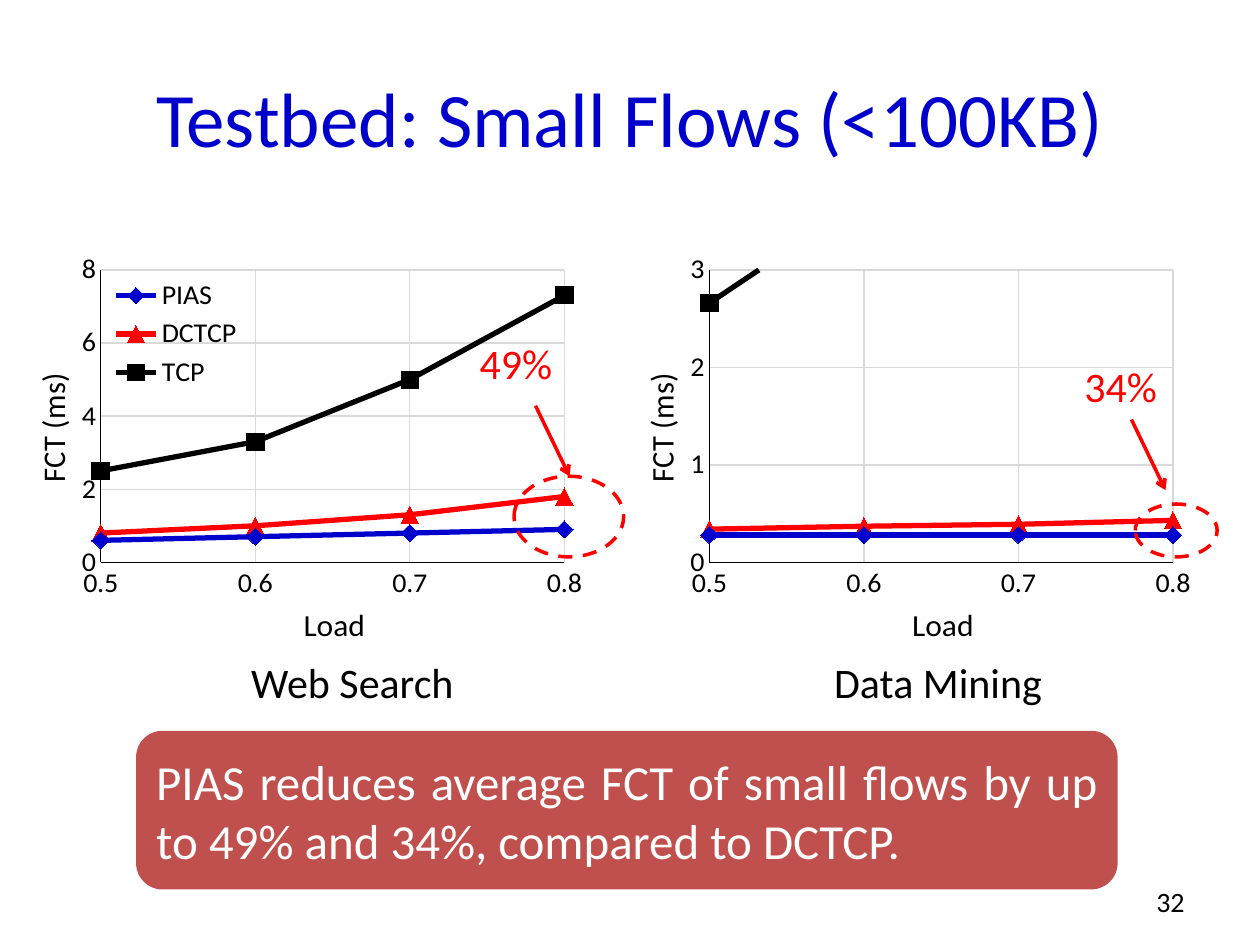
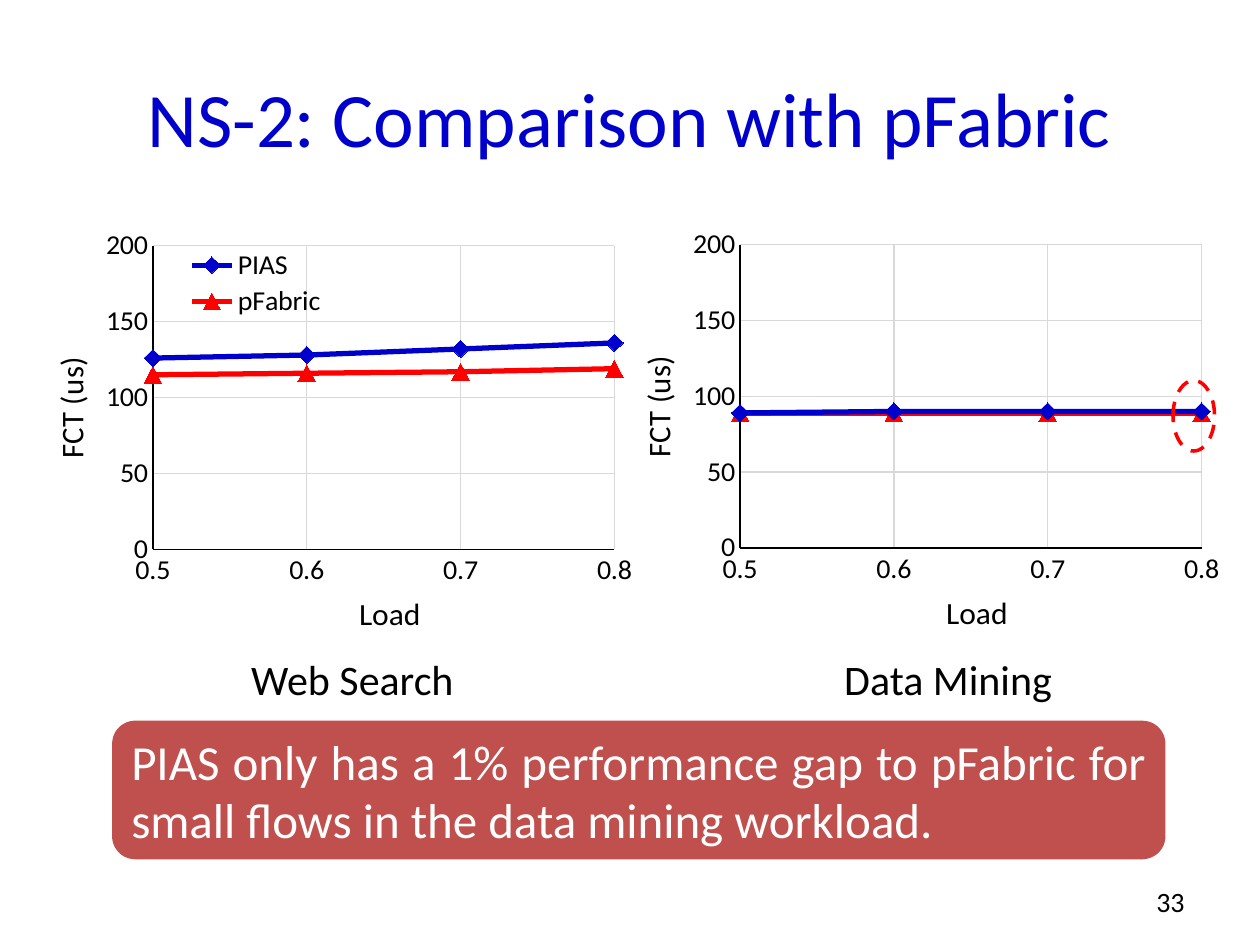
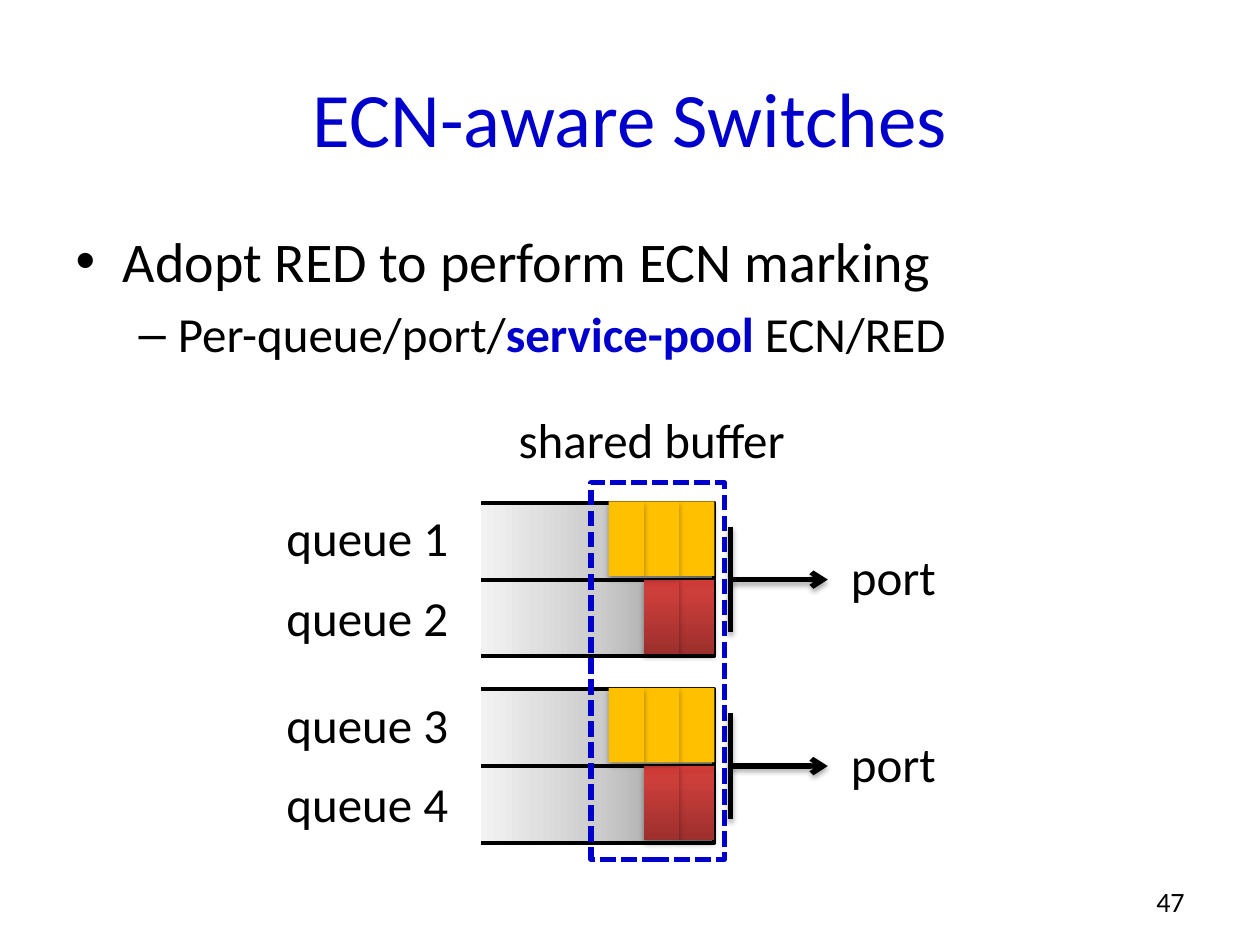
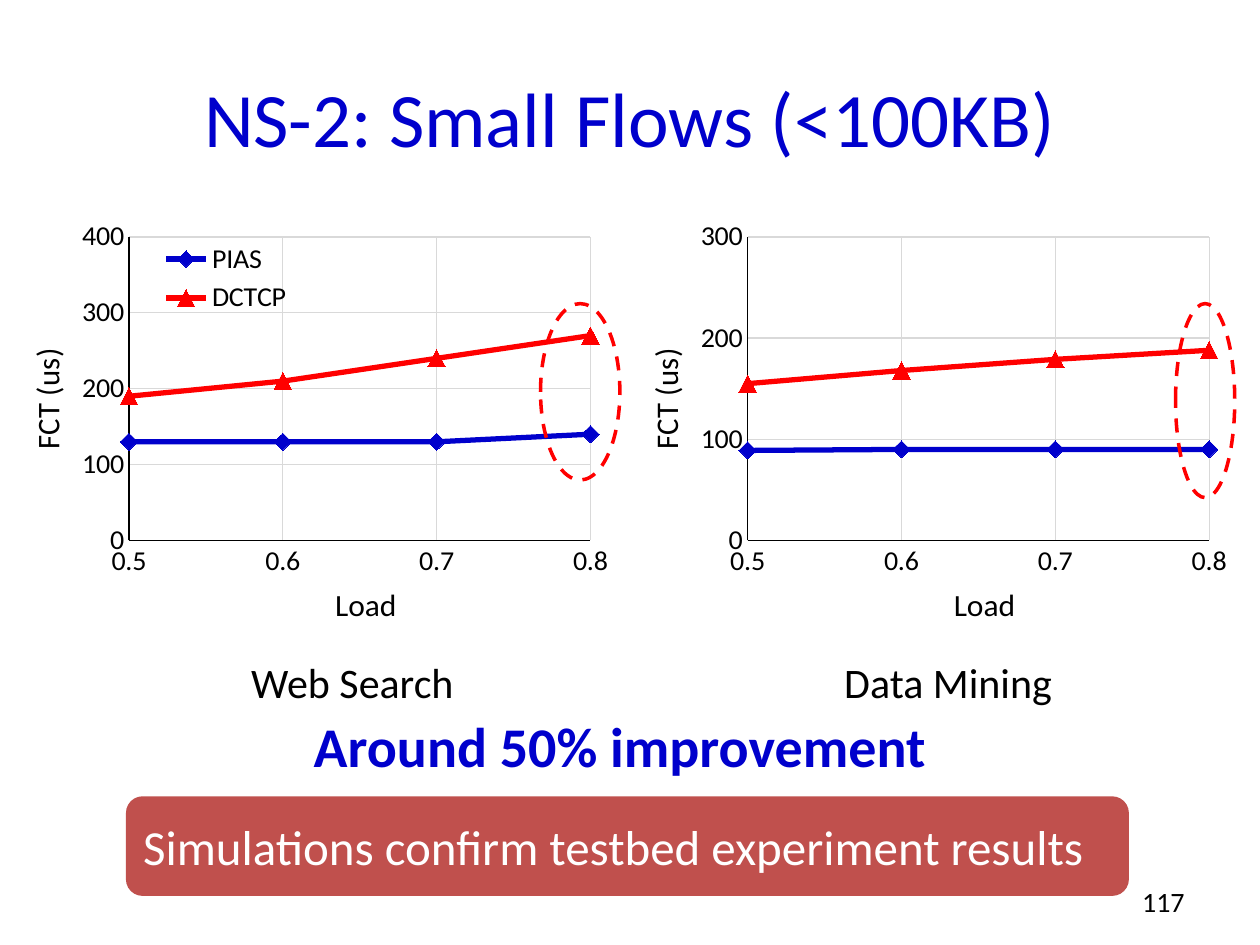
from lxml.etree import SubElement
from pptx import Presentation
from pptx.chart.data import XyChartData
from pptx.dml.color import RGBColor
from pptx.enum.chart import XL_CHART_TYPE, XL_LEGEND_POSITION, XL_MARKER_STYLE, XL_TICK_MARK
from pptx.enum.dml import MSO_LINE
from pptx.enum.shapes import MSO_CONNECTOR, MSO_SHAPE
from pptx.enum.text import MSO_ANCHOR, PP_ALIGN
from pptx.oxml import parse_xml
from pptx.oxml.ns import nsdecls, qn
from pptx.util import Pt

PX = 9144
FONT = "Calibri"
HEX = {
    "blue": "0000CC", "red": "FF0000", "black": "000000", "white": "FFFFFF",
    "banner": "C0504D", "grid": "D9D9D9", "yellow": "FFC000",
}
COLOR = {name: RGBColor.from_string(value) for name, value in HEX.items()}
QUEUE_STOPS = [(0, "909090"), (50, "CCCCCC"), (100, "F2F2F2")]
PACKET_STOPS = [(0, "9C2F2D"), (80, "CB3E3A"), (100, "CE3B37")]
NO_EFFECT = f"<a:effectLst {nsdecls('a')}/>"
SHADOW = (
    f'<a:effectLst {nsdecls("a")}>'
    '<a:outerShdw blurRad="40000" dist="23000" dir="5400000" rotWithShape="0">'
    '<a:srgbClr val="000000"><a:alpha val="35000"/></a:srgbClr>'
    "</a:outerShdw></a:effectLst>"
)
LOADS = [0.5, 0.6, 0.7, 0.8]
STYLES = [
    ("blue", XL_MARKER_STYLE.DIAMOND),
    ("red", XL_MARKER_STYLE.TRIANGLE),
    ("black", XL_MARKER_STYLE.SQUARE),
]
TITLE_AT = (50, 30, 900, 125)
NUMBER_AT = (717, 695, 233, 40)
WIDE_PLOT = (0.15, 0.07, 0.8, 0.73)
NARROW_PLOT = (0.2, 0.07, 0.76, 0.73)

PAGES = [
    {
        "title": "Testbed: Small Flows (<100KB)", "number": "32",
        "unit": "FCT (ms)", "names": ["PIAS", "DCTCP", "TCP"],
        "plot": WIDE_PLOT, "legend": (0.16, 0.08, 0.24, 0.3),
        "load_at": (0.49, 0.89), "unit_at": (0.02, 0.32),
        "charts": [
            ((11, 192, 460, 327), 8, 2,
             [[0.6, 0.7, 0.8, 0.9], [0.8, 1, 1.3, 1.8], [2.5, 3.3, 5, 7.3]]),
            ((494, 192, 460, 327), 3, 1,
             [[0.28, 0.28, 0.28, 0.28], [0.34, 0.37, 0.39, 0.43], [2.66, 3.72, 5.09, 6.3]]),
        ],
        "captions": [(185, 516, 197, "Web Search "), (642, 516, 205, "Data Mining")],
        "rings": [(901, 400, 65, 42), (408, 378, 87, 64)],
        "arrows": [(898, 333, 925, 389), (425, 322, 452, 378)],
        "gains": [((833, 275, 113, 62), "34%"), ((353, 257, 113, 62), "49%")],
        "banner_at": (108, 580, 779, 126),
        "banner": "PIAS reduces average FCT of small flows by up to 49% and 34%, compared to DCTCP. ",
    },
    {
        "title": "NS-2: Comparison with pFabric", "number": "33",
        "unit": "FCT (us)", "names": ["PIAS", "pFabric"],
        "plot": NARROW_PLOT, "legend": (0.22, 0.07, 0.3, 0.18),
        "load_at": (0.53, 0.89), "unit_at": (0.02, 0.33),
        "charts": [
            ((25, 172, 482, 338), 200, 50, [[126, 128, 132, 136], [115, 116, 117, 119]]),
            ((491, 171, 482, 338), 200, 50, [[89, 90, 90, 90], [89, 89, 89, 89]]),
        ],
        "captions": [(185, 514, 197, "Web Search "), (650, 514, 205, "Data Mining")],
        "rings": [(931, 302, 33, 56)],
        "arrows": [],
        "gains": [],
        "banner_at": (89, 572, 836, 110),
        "banner": "PIAS only has a 1% performance gap to pFabric for small flows in the data mining workload.",
    },
    {"title": "ECN-aware Switches", "number": "47"},
    {
        "title": "NS-2: Small Flows (<100KB)", "number": "117",
        "unit": "FCT (us)", "names": ["PIAS", "DCTCP"],
        "plot": NARROW_PLOT, "legend": (0.22, 0.07, 0.28, 0.2),
        "load_at": (0.53, 0.89), "unit_at": (0.02, 0.33),
        "charts": [
            ((6, 165, 482, 338), 400, 100, [[130, 130, 130, 140], [190, 210, 240, 270]]),
            ((497, 165, 482, 338), 300, 100, [[89, 90, 90, 90], [155, 168, 179, 188]]),
        ],
        "captions": [(185, 516, 197, "Web Search "), (650, 516, 205, "Data Mining")],
        "rings": [(429, 241, 63, 140), (933, 241, 47, 154)],
        "arrows": [],
        "gains": [],
        "banner_at": (100, 632, 796, 79),
        "banner": "Simulations confirm testbed experiment results",
    },
]


def write(box, spans, size, align=PP_ALIGN.CENTER, anchor=None):
    frame = box.text_frame
    frame.word_wrap = True
    if anchor is not None:
        frame.vertical_anchor = anchor
    para = frame.paragraphs[-1]
    para.alignment = align
    for text, color, bold in spans:
        span = para.add_run()
        span.text = text
        span.font.name = FONT
        span.font.size = Pt(size)
        span.font.bold = bold
        span.font.color.rgb = COLOR[color]


def connect(page, points, color, width, arrow, effect):
    connector = page.shapes.add_connector(MSO_CONNECTOR.STRAIGHT, *(p * PX for p in points))
    connector.line.color.rgb = COLOR[color]
    connector.line.width = Pt(width)
    if arrow:
        SubElement(connector.element.xpath("p:spPr/a:ln")[0], qn("a:tailEnd"), type="arrow")
    connector.element.xpath("p:spPr")[0].append(parse_xml(effect))


deck = Presentation()
deck.slide_width = 1000 * PX
deck.slide_height = 750 * PX

for content in PAGES:
    has_charts = "charts" in content
    page = deck.slides.add_slide(deck.slide_layouts[5 if has_charts else 1])
    title = page.shapes.title
    title.left, title.top, title.width, title.height = (v * PX for v in TITLE_AT)
    write(title, [(content["title"], "blue", False)], 44, anchor=MSO_ANCHOR.MIDDLE)
    number = page.shapes.add_textbox(*(v * PX for v in NUMBER_AT))
    write(number, [(content["number"], "black", False)], 16, PP_ALIGN.RIGHT, MSO_ANCHOR.MIDDLE)
    if not has_charts:
        continue

    for index, (at, top_value, step, rows) in enumerate(content["charts"]):
        data = XyChartData()
        for name, values in zip(content["names"], rows):
            points = data.add_series(name)
            for load, value in zip(LOADS, values):
                points.add_data_point(load, value)
        chart = page.shapes.add_chart(
            XL_CHART_TYPE.XY_SCATTER_LINES, *(v * PX for v in at), data).chart
        chart.has_title = False
        chart.font.name = FONT
        chart.font.size = Pt(16)
        chart.font.color.rgb = COLOR["black"]
        chart.plots[0].vary_by_categories = False
        for series, (color, marker) in zip(chart.plots[0].series, STYLES):
            series.format.line.color.rgb = COLOR[color]
            series.format.line.width = Pt(3)
            series.marker.style = marker
            series.marker.size = 10
            series.marker.format.fill.solid()
            series.marker.format.fill.fore_color.rgb = COLOR[color]
            series.marker.format.line.fill.background()

        for axis, name, low, high, unit in [
            (chart.category_axis, "Load", 0.5, 0.8, 0.1),
            (chart.value_axis, content["unit"], 0, top_value, step),
        ]:
            axis.minimum_scale = low
            axis.maximum_scale = high
            axis.major_unit = unit
            axis.major_tick_mark = axis.minor_tick_mark = XL_TICK_MARK.NONE
            axis.has_major_gridlines = True
            for line, color in [(axis.format.line, "black"),
                                (axis.major_gridlines.format.line, "grid")]:
                line.color.rgb = COLOR[color]
                line.width = Pt(0.75)
            axis.tick_labels.font.size = Pt(16)
            axis.tick_labels.font.name = FONT
            write(axis.axis_title, [(name, "black", False)], 18)

        chart.has_legend = index == 0
        load_title, unit_title = chart.element.xpath(".//c:valAx/c:title")
        layouts = [
            (chart.element.xpath(".//c:plotArea")[0], 0, content["plot"]),
            (load_title, 1, content["load_at"]),
            (unit_title, 1, content["unit_at"]),
        ]
        if chart.has_legend:
            chart.legend.position = XL_LEGEND_POSITION.BOTTOM
            chart.legend.include_in_layout = False
            chart.legend.font.size = Pt(16)
            chart.legend.font.name = FONT
            chart.legend.font.color.rgb = COLOR["black"]
            layouts.append((chart.element.xpath(".//c:legend")[0], 1, content["legend"]))
        for parent, position, sizes in layouts:
            for old in parent.xpath("c:layout"):
                parent.remove(old)
            layout = parse_xml(f"<c:layout {nsdecls('c')}><c:manualLayout/></c:layout>")
            parent.insert(position, layout)
            if position == 0:
                SubElement(layout[0], qn("c:layoutTarget"), val="inner")
            for side in "xy":
                SubElement(layout[0], qn(f"c:{side}Mode"), val="edge")
            for side, size in zip("xywh", sizes):
                SubElement(layout[0], qn(f"c:{side}"), val=str(size))
        chart.element.xpath("c:chart")[0].addnext(parse_xml(
            f"<c:spPr {nsdecls('c', 'a')}><a:noFill/><a:ln><a:noFill/></a:ln></c:spPr>"))

    for left, top, width, text in content["captions"]:
        caption = page.shapes.add_textbox(left * PX, top * PX, width * PX, 50 * PX)
        write(caption, [(text, "black", False)], 24)
    for at in content["rings"]:
        ring = page.shapes.add_shape(MSO_SHAPE.OVAL, *(v * PX for v in at))
        ring.shadow.inherit = False
        ring.fill.background()
        ring.line.color.rgb = COLOR["red"]
        ring.line.width = Pt(2)
        ring.line.dash_style = MSO_LINE.DASH
    for points in content["arrows"]:
        connect(page, points, "red", 2, True, NO_EFFECT)

    panels = [(at, text, 24, "red", PP_ALIGN.CENTER) for at, text in content["gains"]]
    panels.append((content["banner_at"], content["banner"], 28, "white", PP_ALIGN.JUSTIFY))
    for at, text, size, color, align in panels:
        panel = page.shapes.add_shape(MSO_SHAPE.ROUNDED_RECTANGLE, *(v * PX for v in at))
        panel.shadow.inherit = False
        panel.fill.background()
        if color == "white":
            panel.fill.solid()
            panel.fill.fore_color.rgb = COLOR["banner"]
        panel.line.fill.background()
        write(panel, [(text, color, False)], size, align, MSO_ANCHOR.MIDDLE)

improvement = deck.slides[3].shapes.add_textbox(147 * PX, 544 * PX, 690 * PX, 94 * PX)
write(improvement, [("Around 50% improvement", "blue", True)], 32, anchor=MSO_ANCHOR.MIDDLE)

page = deck.slides[2]
body = page.placeholders[1]
body.left, body.top, body.width, body.height = (v * PX for v in (50, 175, 900, 495))
write(body, [("Adopt RED to perform ECN marking", "black", False)], 32, None)
body.text_frame.add_paragraph().level = 1
write(body, [("Per-queue/port/", "black", False), ("service-pool", "blue", True),
             (" ECN/RED", "black", False)], 28, None)

labels = [((372, 320, 299, 57), "shared buffer ")]
for port, top in enumerate((398, 546)):
    middle = top + 62
    connect(page, (580, top + 20, 580, top + 104), "black", 3, False, SHADOW)
    connect(page, (580, middle, 657, middle), "black", 3, True, SHADOW)
    labels.append(((642, top + 31, 134, 57), "port"))
    gradients = []
    for row in range(2):
        labels.append(((201, top + 63 * row, 181, 57), f"queue {2 * port + row + 1}"))
        edge = top + 1 + 61 * row
        builder = page.shapes.build_freeform(382, edge, scale=PX)
        builder.add_line_segments([(567, edge), (567, edge + 61), (382, edge + 61)], close=False)
        queue = builder.convert_to_shape()
        queue.shadow.inherit = False
        queue.line.color.rgb = COLOR["black"]
        queue.line.width = Pt(2.25)
        gradients.append((queue, QUEUE_STOPS, 180))
    for row, left in [(0, 539), (1, 539), (1, 511), (0, 511), (0, 483)]:
        packet = page.shapes.add_shape(
            MSO_SHAPE.RECTANGLE, left * PX, (top + 62 * row) * PX, 28 * PX, 59 * PX)
        packet.line.fill.background()
        if row == 0:
            packet.fill.solid()
            packet.fill.fore_color.rgb = COLOR["yellow"]
        else:
            gradients.append((packet, PACKET_STOPS, 90))
        packet.element.xpath("p:spPr")[0].append(parse_xml(SHADOW))
    for shape, stops, angle in gradients:
        shape.fill.gradient()
        shape.fill.gradient_angle = angle
        stop_list = shape.element.xpath("p:spPr/a:gradFill/a:gsLst")[0]
        for old in list(stop_list):
            stop_list.remove(old)
        for percent, color in stops:
            stop = SubElement(stop_list, qn("a:gs"), pos=str(percent * 1000))
            SubElement(stop, qn("a:srgbClr"), val=color)

for at, text in labels:
    label = page.shapes.add_textbox(*(v * PX for v in at))
    write(label, [(text, "black", False)], 28)

buffer_frame = page.shapes.add_shape(
    MSO_SHAPE.RECTANGLE, *(v * PX for v in (469, 383, 106, 299)))
buffer_frame.shadow.inherit = False
buffer_frame.fill.background()
buffer_frame.line.color.rgb = COLOR["blue"]
buffer_frame.line.width = Pt(3)
buffer_frame.line.dash_style = MSO_LINE.SQUARE_DOT

deck.save("out.pptx")
